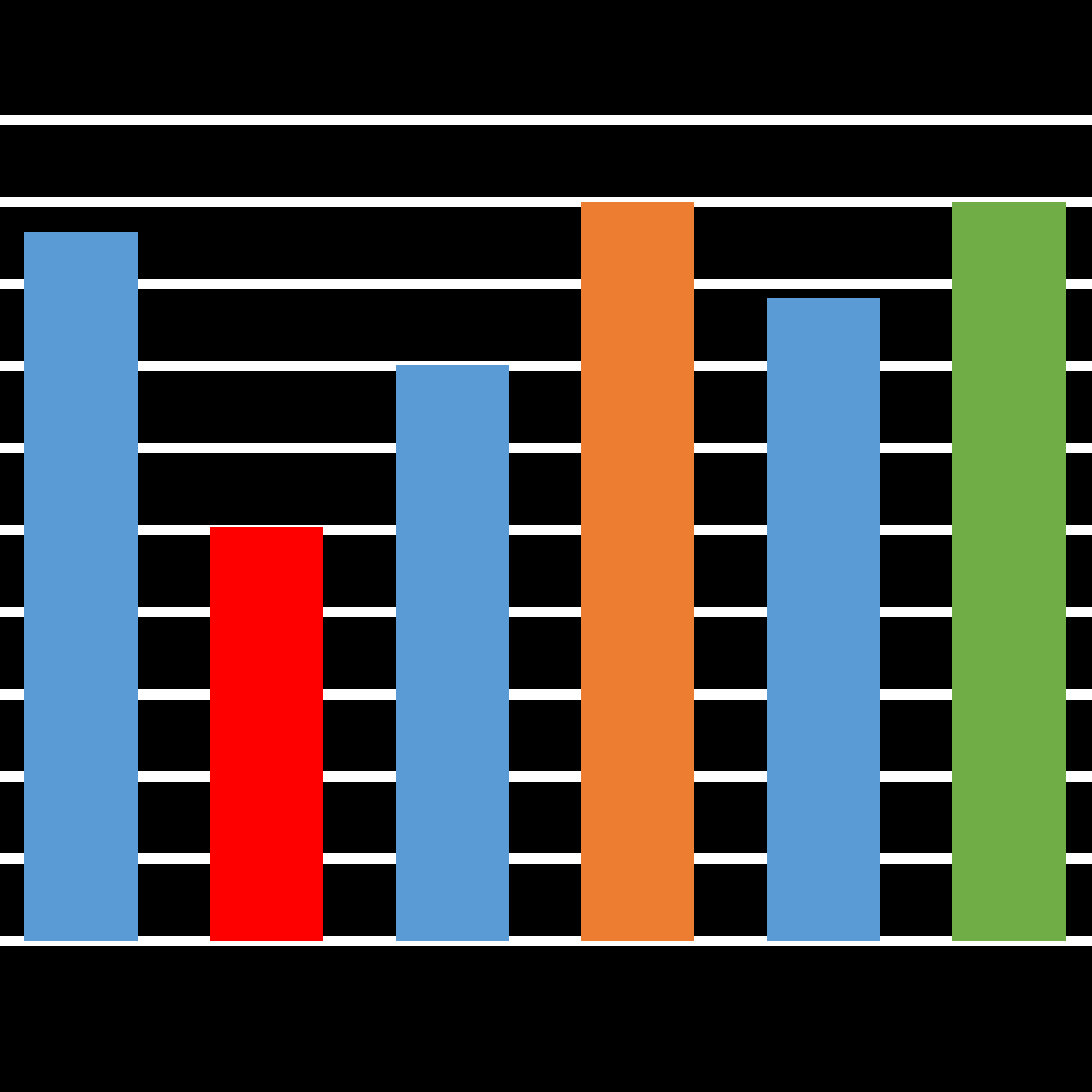
from dataclasses import dataclass

from lxml import etree
from pptx import Presentation
from pptx import util as u
from pptx.chart import data as chart_data
from pptx.chart.chart import Chart
from pptx.chart.series import BarSeries
from pptx.dml.color import RGBColor
from pptx.enum import chart as chart_enum
from pptx.oxml import ns


@dataclass(frozen=True)
class Theme:
    background: str = "000000"
    light: str = "FFFFFF"
    blue: str = "5B9BD5"
    red: str = "FF0000"
    orange: str = "ED7D31"
    green: str = "70AD47"
    grey: str = "A5A5A5"
    font: str = "Calibri"
    text_size: int = 10
    grid_width: int = 5


@dataclass(frozen=True)
class Series:
    name: str
    values: tuple[int | None, ...]
    color: str


THEME = Theme()
BAR_COLORS = {1: THEME.red, 3: THEME.orange, 5: THEME.green}
EMPTY = (None,) * 6
SERIES = (
    Series("Series 1", (96, 56, 78, 100, 87, 100), THEME.blue),
    Series("Series 2", EMPTY, THEME.orange),
    Series("Series 3", EMPTY, THEME.grey),
)
GRID_STEP = 11.11
GRID_COUNT = 10
PLOT_MARGIN = 0.02


def paint(fill, color: str) -> None:
    fill.solid()
    fill.fore_color.rgb = RGBColor.from_string(color)


def style_axes(chart: Chart) -> None:
    chart.category_axis.visible = False
    axis = chart.value_axis
    axis.visible = False
    axis.minimum_scale = 0
    axis.maximum_scale = GRID_STEP * GRID_COUNT
    axis.major_unit = GRID_STEP
    axis.has_major_gridlines = True
    line = axis.major_gridlines.format.line
    line.width = u.Pt(THEME.grid_width)
    paint(line.fill, THEME.light)


def style_series(series: BarSeries, color: str) -> None:
    series.invert_if_negative = False
    paint(series.format.fill, color)


def set_plot_margin(chart: Chart, margin: float) -> None:
    plot_area = chart.element.find(".//" + ns.qn("c:plotArea"))
    for old in plot_area.findall(ns.qn("c:layout")):
        plot_area.remove(old)
    layout = etree.Element(ns.qn("c:layout"))
    manual = etree.SubElement(layout, ns.qn("c:manualLayout"))
    size = 1 - 2 * margin
    settings = {
        "layoutTarget": "inner", "xMode": "edge", "yMode": "edge",
        "x": margin, "y": margin, "w": size, "h": size,
    }
    for tag, value in settings.items():
        etree.SubElement(manual, ns.qn(f"c:{tag}")).set("val", str(value))
    plot_area.insert(0, layout)


# Page
deck = Presentation()
deck.slide_width = deck.slide_height = u.Cm(19.05)
page = deck.slides.add_slide(deck.slide_layouts[6])
paint(page.background.fill, THEME.background)

# Chart data
table = chart_data.CategoryChartData()
table.categories = [str(number) for number in range(1, 7)]
for entry in SERIES:
    table.add_series(entry.name, entry.values)

# Column chart
frame = page.shapes.add_chart(
    chart_enum.XL_CHART_TYPE.COLUMN_CLUSTERED,
    u.Cm(-0.61), u.Cm(1.8), u.Cm(20.24), u.Cm(14.91), table,
)
chart = frame.chart
chart.has_title = False
chart.has_legend = False
chart.font.name = THEME.font
chart.font.size = u.Pt(THEME.text_size)
chart.font.color.rgb = RGBColor.from_string(THEME.light)
style_axes(chart)
set_plot_margin(chart, PLOT_MARGIN)

# Columns
plot = chart.plots[0]
plot.vary_by_categories = False
plot.gap_width = 64
plot.overlap = 100
for series, entry in zip(plot.series, SERIES):
    style_series(series, entry.color)
for index, color in BAR_COLORS.items():
    paint(plot.series[0].points[index].format.fill, color)

deck.save("out.pptx")
